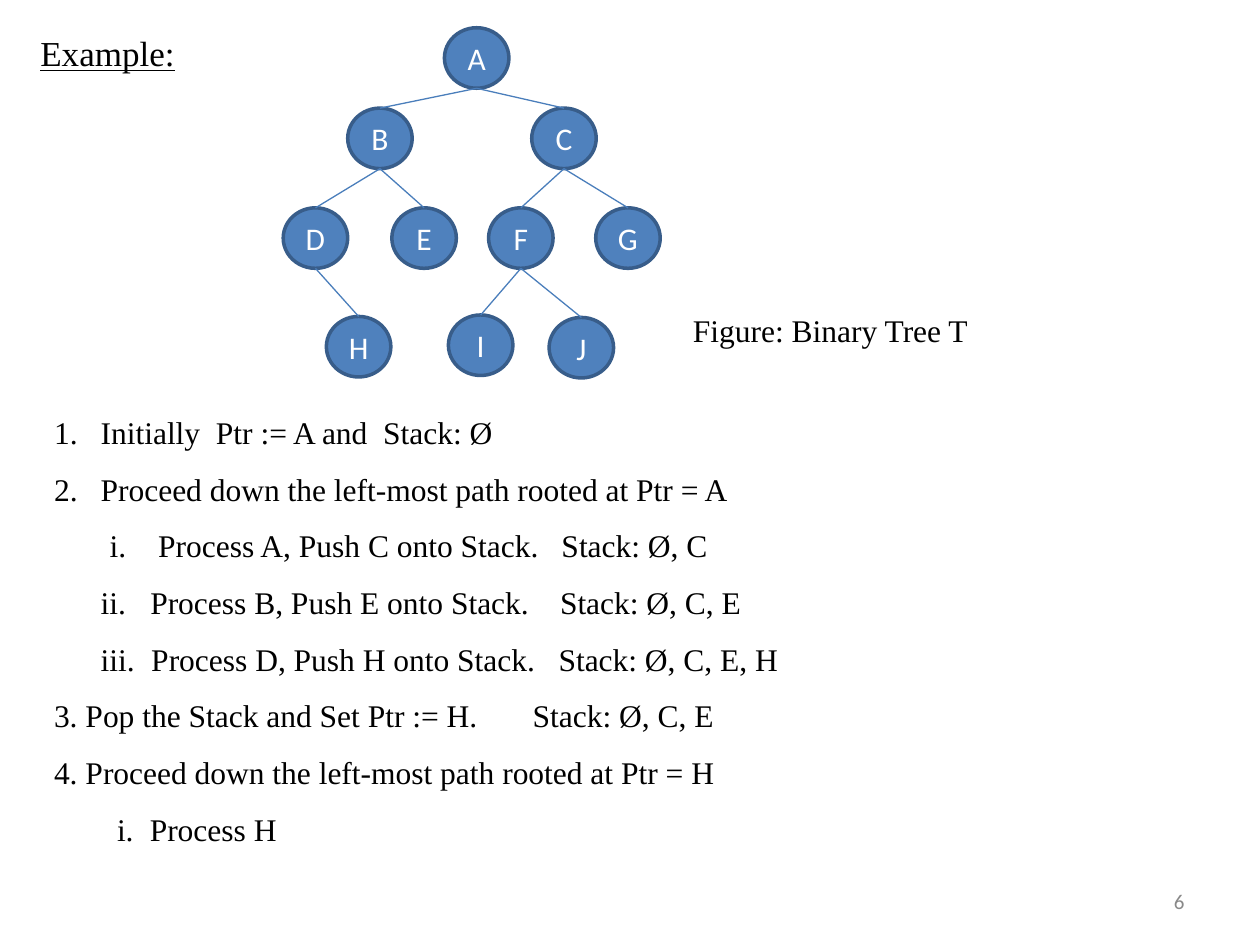
from lxml import etree
from pptx import Presentation
from pptx import util as u
from pptx.dml.color import RGBColor
from pptx.enum import shapes, text
from pptx.oxml.ns import qn

SERIF, SANS = "Times New Roman", "Calibri"
NODE_WIDTH, NODE_HEIGHT = 1.3, 1.22
NODES = {
    "A": (9.61, 0.56), "B": (7.66, 2.18), "C": (11.37, 2.18),
    "D": (6.36, 4.19), "E": (8.55, 4.19), "F": (10.5, 4.19), "G": (12.66, 4.19),
    "H": (7.23, 6.38), "I": (9.69, 6.35), "J": (11.72, 6.4),
}
EDGES = ["AB", "AC", "BE", "BD", "CG", "CF", "DH", "FI", "FJ"]
STEPS = [
    ("Initially  Ptr := A and  Stack: Ø", True, []),
    ("Proceed down the left-most path rooted at Ptr = A", True, []),
    ("\ti.\tProcess A, Push C onto Stack.\tStack: Ø, C", False, [1.12, 2.1, 10.23]),
    ("\tii.\tProcess B, Push E onto Stack.\tStack: Ø, C, E", False, [0.94, 1.94, 10.2]),
    ("\tiii.\tProcess D, Push H onto Stack.\tStack: Ø, C, E, H", False, [0.94, 1.96, 10.17]),
    ("3. Pop the Stack and Set Ptr := H.\tStack: Ø, C, E", False, [9.65]),
    ("4. Proceed down the left-most path rooted at Ptr = H", False, []),
    ("\ti.\tProcess H", False, [1.27, 1.93]),
]


def colour(value):
    """Turn a hex string into a colour."""
    return RGBColor.from_string(value)


def add_span(para, words, size, font, ink="000000", underline=None):
    """Add one formatted run to a paragraph."""
    span = para.add_run()
    span.text = words
    span.font.size = u.Pt(size)
    span.font.name = font
    span.font.underline = underline
    span.font.color.rgb = colour(ink)


def add_box(page, left, top, width, height):
    """Add an empty wrapping text box and return its text frame."""
    box = page.shapes.add_textbox(u.Cm(left), u.Cm(top), u.Cm(width), u.Cm(height))
    box.text_frame.word_wrap = True
    return box.text_frame


def set_title(page, words):
    """Place and format the title placeholder."""
    title = page.shapes.title
    title.left, title.top = u.Cm(0.56), u.Cm(0.51)
    title.width, title.height = u.Cm(23.93), u.Cm(1.12)
    frame = title.text_frame
    frame.auto_size = text.MSO_AUTO_SIZE.NONE
    frame.vertical_anchor = text.MSO_ANCHOR.TOP
    para = frame.paragraphs[0]
    para.alignment = text.PP_ALIGN.LEFT
    add_span(para, words, 20, SERIF, underline=True)


def add_node(group, label, centre, top):
    """Add one labelled tree node."""
    node = group.shapes.add_shape(
        shapes.MSO_SHAPE.OVAL, u.Cm(centre - NODE_WIDTH / 2), u.Cm(top),
        u.Cm(NODE_WIDTH), u.Cm(NODE_HEIGHT))
    node.shadow.inherit = False
    node.fill.solid()
    node.fill.fore_color.rgb = colour("4F81BD")
    node.line.color.rgb = colour("385D8A")
    node.line.width = u.Pt(2)
    node.text_frame.vertical_anchor = text.MSO_ANCHOR.MIDDLE
    para = node.text_frame.paragraphs[0]
    para.alignment = text.PP_ALIGN.CENTER
    add_span(para, label, 18, SANS, "FFFFFF")


def add_edge(group, parent, child):
    """Join the bottom of a parent node to the top of its child."""
    (start, top), (end, bottom) = NODES[parent], NODES[child]
    edge = group.shapes.add_connector(
        shapes.MSO_CONNECTOR.STRAIGHT, u.Cm(start), u.Cm(top + NODE_HEIGHT),
        u.Cm(end), u.Cm(bottom))
    edge.line.color.rgb = colour("4A7EBB")
    edge.line.width = u.Pt(0.75)
    etree.SubElement(edge._element.spPr, qn("a:effectLst"))


def add_tree(page):
    """Draw the binary tree as one group."""
    group = page.shapes.add_group_shape()
    for label, (centre, top) in NODES.items():
        add_node(group, label, centre, top)
    for parent, child in EDGES:
        add_edge(group, parent, child)


def add_step(para, words, numbered, stops):
    """Write one step with automatic numbering or tab stops."""
    para.line_spacing = 1.5
    props = para._p.get_or_add_pPr()
    if numbered:
        props.set("marL", str(u.Cm(0.94)))
        props.set("indent", str(-u.Cm(0.94)))
        etree.SubElement(props, qn("a:buFont"), typeface=SERIF)
        etree.SubElement(props, qn("a:buAutoNum"), type="arabicPeriod")
    if stops:
        tabs = etree.SubElement(props, qn("a:tabLst"))
        for stop in stops:
            etree.SubElement(tabs, qn("a:tab"), pos=str(u.Cm(stop)), algn="l")
    add_span(para, words, 18, SERIF)


def add_steps(page):
    """Write the list of traversal steps."""
    frame = add_box(page, 0.84, 7.82, 23.29, 11.76)
    for index, step in enumerate(STEPS):
        para = frame.add_paragraph() if index else frame.paragraphs[0]
        add_step(para, *step)


def add_page_number(page, number):
    """Write the page number at the lower right."""
    frame = add_box(page, 18.21, 17.65, 5.92, 1.02)
    frame.vertical_anchor = text.MSO_ANCHOR.MIDDLE
    para = frame.paragraphs[0]
    para.alignment = text.PP_ALIGN.RIGHT
    add_span(para, number, 12, SANS, "898989")


def main():
    """Build and save the deck."""
    deck = Presentation()
    deck.slide_width, deck.slide_height = u.Cm(25.4), u.Cm(19.05)
    page = deck.slides.add_slide(deck.slide_layouts[5])
    set_title(page, "Example:")
    add_page_number(page, "6")
    add_tree(page)
    add_steps(page)
    caption = add_box(page, 13.72, 6.15, 8.69, 1.02)
    add_span(caption.paragraphs[0], "Figure: Binary Tree T", 18, SERIF)
    deck.save("out.pptx")


if __name__ == "__main__":
    main()
